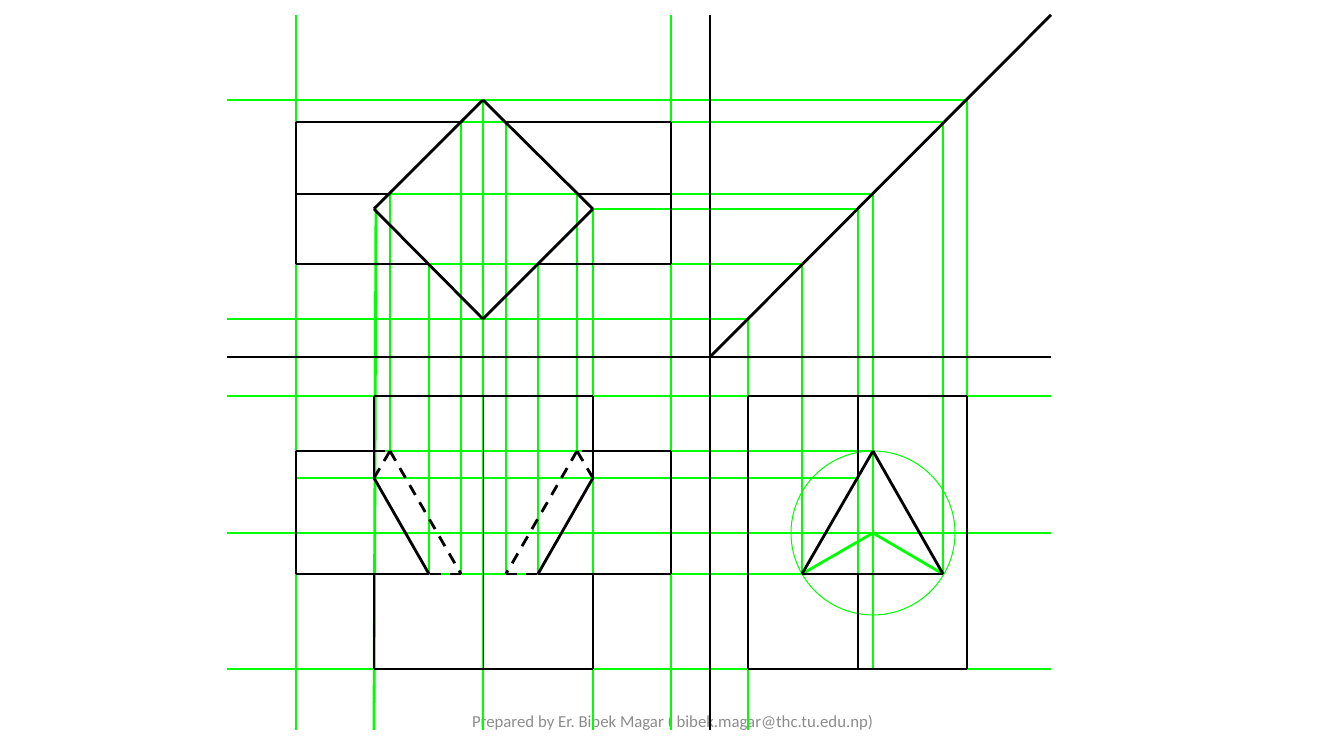
import pptx
import pptx.util
import pptx.dml.color
import pptx.enum.dml
import pptx.enum.shapes
import pptx.enum.text
import pptx.oxml.ns
from dataclasses import dataclass
from lxml import etree


@dataclass(frozen=True)
class Theme:
    edge: str = "000000"
    guide: str = "00FF00"
    footer: str = "8C8C8C"
    font: str = "Calibri"
    footer_size: int = 12
    hairline: float = 0
    centre_line: float = 0.5


THEME = Theme()
EMU_PER_PX = 914400 / 100.8
MIRROR_SUM = 967  # left x + right x of the symmetric plan and front views

# Plan and front view: x positions on the left half, and the middle
PRISM_L, DIAMOND_L, TOP_CUT, FRONT_CUT, BACK_CUT, MID = 296, 374, 390, 429, 461, 483
PRISM_R, DIAMOND_R = MIRROR_SUM - PRISM_L, MIRROR_SUM - DIAMOND_L
# Reference frame and side view: x positions
START, FOLD_X, SIDE_L, TRI_L, SIDE_MID, APEX, TRI_R, SIDE_R, END = (
    227, 710, 748, 802, 858, 873, 943, 967, 1051)
# Plan: y positions
TOP, DIAMOND_T, PLAN_BACK, PLAN_RIDGE, DIAMOND_MID, PLAN_FRONT, DIAMOND_B, FOLD_Y = (
    15, 100, 122, 194, 209, 264, 319, 357)
# Elevations: y positions
COLUMN_T, RIDGE, NOTCH, AXIS, BASE, COLUMN_B, BOTTOM = 396, 451, 478, 533, 574, 669, 730
RADIUS = AXIS - RIDGE

GUIDES = [
    [(START, COLUMN_T), (END, COLUMN_T)],
    [(START, COLUMN_B), (END, COLUMN_B)],
    [(START, AXIS), (END, AXIS)],
    [(START, DIAMOND_B), (SIDE_L, DIAMOND_B), (SIDE_L, BOTTOM)],
    [(START, DIAMOND_T), (FOLD_X, DIAMOND_T), (SIDE_R, DIAMOND_T), (SIDE_R, COLUMN_B)],
    [(PRISM_L, TOP), (PRISM_L, BOTTOM)],
    [(PRISM_R, TOP), (PRISM_R, BOTTOM)],
    [(DIAMOND_L + 2, DIAMOND_MID), (DIAMOND_L, BOTTOM)],
    [(MID, DIAMOND_T), (MID, BOTTOM)],
    [(DIAMOND_R, DIAMOND_MID), (DIAMOND_R, BOTTOM)],
    [(DIAMOND_R, DIAMOND_MID), (SIDE_MID, DIAMOND_MID), (SIDE_MID, COLUMN_B)],
    [(APEX, COLUMN_T), (APEX, COLUMN_B)],
    [(APEX, COLUMN_T), (APEX, PLAN_RIDGE), (PRISM_L, PLAN_RIDGE)],
    [(TRI_R, BASE), (TRI_R, PLAN_BACK), (PRISM_L, PLAN_BACK)],
    [(TRI_L, BASE), (TRI_L, PLAN_FRONT), (PRISM_L, PLAN_FRONT)],
    [(TRI_L, BASE), (APEX, AXIS), (TRI_R, BASE)],
    [(APEX, RIDGE), (PRISM_L, RIDGE)],
    [(SIDE_MID, NOTCH), (PRISM_L, NOTCH)],
    [(TRI_L, BASE), (PRISM_L, BASE)],
]
EDGES = [
    [(START, FOLD_Y), (END, FOLD_Y)],
    [(FOLD_X, TOP), (FOLD_X, BOTTOM)],
    [(FOLD_X, FOLD_Y), (END, TOP)],
    [(DIAMOND_L, DIAMOND_MID), (MID, DIAMOND_T), (DIAMOND_R, DIAMOND_MID),
     (MID, DIAMOND_B), (DIAMOND_L, DIAMOND_MID)],
    [(APEX, RIDGE), (TRI_L, BASE), (TRI_R, BASE), (APEX, RIDGE)],
    [(SIDE_L, COLUMN_B), (SIDE_L, COLUMN_T), (SIDE_R, COLUMN_T),
     (SIDE_R, COLUMN_B), (SIDE_L, COLUMN_B)],
    [(SIDE_MID, COLUMN_B), (SIDE_MID, BASE)],
    [(SIDE_MID, NOTCH), (SIDE_MID, COLUMN_T)],
    [(DIAMOND_L, COLUMN_T), (DIAMOND_R, COLUMN_T)],
    [(DIAMOND_L, COLUMN_B), (DIAMOND_R, COLUMN_B)],
]
# Left halves; the right halves are their mirror images
HALF_GUIDES = [
    [(TOP_CUT, PLAN_RIDGE), (TOP_CUT, RIDGE)],
    [(FRONT_CUT, PLAN_FRONT), (FRONT_CUT, BASE)],
    [(BACK_CUT, PLAN_BACK), (BACK_CUT, BASE)],
]
HALF_EDGES = [
    [(FRONT_CUT, PLAN_FRONT), (PRISM_L, PLAN_FRONT), (PRISM_L, PLAN_BACK),
     (BACK_CUT, PLAN_BACK)],
    [(PRISM_L, PLAN_RIDGE), (TOP_CUT, PLAN_RIDGE)],
    [(DIAMOND_L, COLUMN_B), (DIAMOND_L, BASE), (PRISM_L, BASE), (PRISM_L, RIDGE),
     (DIAMOND_L, RIDGE), (DIAMOND_L, COLUMN_T)],
    [(DIAMOND_L, RIDGE), (DIAMOND_L, NOTCH), (FRONT_CUT, BASE), (DIAMOND_L, BASE)],
]
HALF_HIDDEN = [
    [(DIAMOND_L, NOTCH), (TOP_CUT, RIDGE), (BACK_CUT, BASE), (FRONT_CUT, BASE)],
    [(DIAMOND_L, RIDGE), (TOP_CUT, RIDGE)],
]


def px(length):
    return pptx.util.Emu(round(length * EMU_PER_PX))


def rgb(colour):
    return pptx.dml.color.RGBColor.from_string(colour)


def both_halves(chains):
    """Return the chains followed by their mirror images."""
    return chains + [[(MIRROR_SUM - x, y) for x, y in chain] for chain in chains]


def style_line(line, colour, width):
    line.color.rgb = rgb(colour)
    line.width = pptx.util.Pt(width)


def add_chains(page, chains, colour, dashed=False, width=THEME.hairline):
    """Join the successive points of each chain with straight connectors."""
    for chain in chains:
        for start, end in zip(chain, chain[1:]):
            connector = page.shapes.add_connector(
                pptx.enum.shapes.MSO_CONNECTOR.STRAIGHT, *map(px, start + end))
            style_line(connector.line, colour, width)
            if dashed:
                connector.line.dash_style = pptx.enum.dml.MSO_LINE.DASH
            etree.SubElement(connector.element.spPr, pptx.oxml.ns.qn("a:effectLst"))


def add_circle(page, x, y, radius, colour):
    circle = page.shapes.add_shape(
        pptx.enum.shapes.MSO_SHAPE.OVAL,
        px(x - radius), px(y - radius), px(2 * radius), px(2 * radius))
    circle.shadow.inherit = False
    circle.fill.background()
    style_line(circle.line, colour, THEME.hairline)


def add_footer(page, text, left, top, width, height):
    box = page.shapes.add_textbox(px(left), px(top), px(width), px(height))
    frame = box.text_frame
    frame.word_wrap = True
    frame.vertical_anchor = pptx.enum.text.MSO_ANCHOR.MIDDLE
    frame.text = text
    para = frame.paragraphs[0]
    para.alignment = pptx.enum.text.PP_ALIGN.CENTER
    para.font.name = THEME.font
    para.font.size = pptx.util.Pt(THEME.footer_size)
    para.font.color.rgb = rgb(THEME.footer)


def main():
    deck = pptx.Presentation()
    deck.slide_width, deck.slide_height = px(1344), px(756)
    page = deck.slides.add_slide(deck.slide_layouts[6])

    add_footer(page, "Prepared by Er. Bibek Magar ( bibek.magar@thc.tu.edu.np)",
               446, 701, 454, 40)
    add_chains(page, GUIDES + both_halves(HALF_GUIDES), THEME.guide)
    add_circle(page, APEX, AXIS, RADIUS, THEME.guide)
    add_chains(page, EDGES + both_halves(HALF_EDGES), THEME.edge)
    add_chains(page, both_halves(HALF_HIDDEN), THEME.edge, dashed=True)
    add_chains(page, [[(MID, COLUMN_T), (MID, COLUMN_B)]], THEME.edge,
               width=THEME.centre_line)
    deck.save("out.pptx")


if __name__ == "__main__":
    main()
